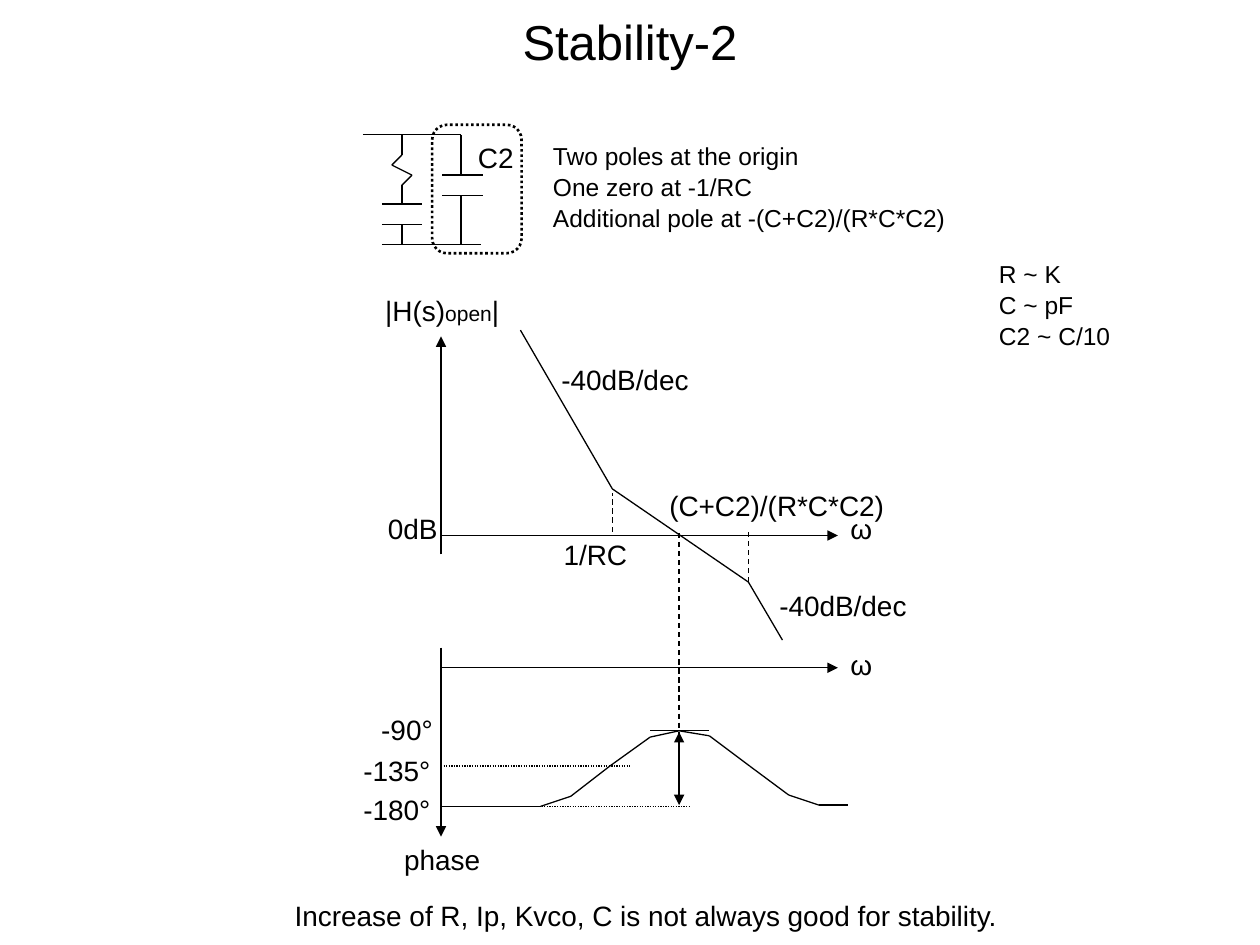
from itertools import pairwise

from lxml import etree
from pptx import Presentation
from pptx.dml.color import RGBColor
from pptx.enum.dml import MSO_LINE
from pptx.enum.shapes import MSO_CONNECTOR, MSO_SHAPE
from pptx.enum.text import MSO_AUTO_SIZE, PP_ALIGN
from pptx.oxml.ns import qn
from pptx.util import Inches, Pt

STRAIGHT = MSO_CONNECTOR.STRAIGHT
ROUNDED = MSO_SHAPE.ROUNDED_RECTANGLE
DASH, DOT = MSO_LINE.DASH, MSO_LINE.ROUND_DOT
LEFT, CENTER = PP_ALIGN.LEFT, PP_ALIGN.CENTER
FIT = MSO_AUTO_SIZE.SHAPE_TO_FIT_TEXT
BLACK = "000000"


def color(hex_code):
    return RGBColor.from_string(hex_code)


class Sketch:
    """Draws line art and labels on one slide in a single style."""

    def __init__(self, slide, font="Arial", ink=BLACK):
        self.shapes = slide.shapes
        self.font = font
        self.ink = color(ink)

    def stroke(self, line, width, dash):
        line.color.rgb = self.ink
        line.width = Pt(width)
        if dash:
            line.dash_style = dash

    def path_line(self, *points, dash=None, arrows=()):
        for start, end in pairwise(points):
            segment = self.shapes.add_connector(
                STRAIGHT, *(Inches(v) for v in (*start, *end)))
            self.stroke(segment.line, 0.75, dash)
            properties = segment._element.spPr
            outline = properties.find(qn("a:ln"))
            for arrow in arrows:
                etree.SubElement(outline, qn(f"a:{arrow}"), type="triangle")
            etree.SubElement(properties, qn("a:effectLst"))

    def frame(self, left, top, width, height):
        box = self.shapes.add_shape(
            ROUNDED, *(Inches(v) for v in (left, top, width, height)))
        box.adjustments[0] = 0.167
        box.shadow.inherit = False
        box.fill.background()
        self.stroke(box.line, 1.5, DOT)

    def text(self, text, left, top, width, height=0.37, size=16, align=CENTER):
        box = self.shapes.add_textbox(
            *(Inches(v) for v in (left, top, width, height)))
        body = box.text_frame
        body.word_wrap = True
        body.auto_size = FIT
        for index, content in enumerate(text.split("\n")):
            paragraph = body.paragraphs[0] if index == 0 else body.add_paragraph()
            paragraph.alignment = align
            paragraph.space_before = Pt(0.8 if index else 0)
            for position, part in enumerate(content.split("_")):
                run = paragraph.add_run()
                run.text = part
                run.font.name = self.font
                run.font.size = Pt(12 if position == 1 else size)
                run.font.color.rgb = self.ink


def draw_filter(sketch):
    resistor_x, c2_x, top, bottom = 3.19, 3.66, 1.07, 1.94
    sketch.path_line((resistor_x, top), (resistor_x, 1.23), (3.11, 1.31),
                     (3.27, 1.39), (resistor_x, 1.47), (resistor_x, 1.62))
    sketch.path_line((resistor_x, 1.78), (resistor_x, bottom))
    sketch.path_line((2.88, top), (c2_x, top), (c2_x, 1.39))
    sketch.path_line((c2_x, 1.55), (c2_x, bottom))
    sketch.path_line((3.03, bottom), (3.82, bottom))
    for plate_left, upper_plate in ((3.03, 1.62), (3.51, 1.39)):
        for y in (upper_plate, upper_plate + 0.16):
            sketch.path_line((plate_left, y), (plate_left + 0.32, y))
    sketch.frame(3.43, 0.99, 0.71, 1.02)
    sketch.text("C2", 3.66, 1.07, 0.55)


def draw_axes(sketch):
    origin_x, axis_end = 3.5, 6.65
    for zero_y, start_y, tip_y in ((4.25, 4.4, 2.67), (5.3, 5.14, 6.64)):
        sketch.path_line((origin_x, zero_y), (axis_end, zero_y),
                         arrows=["tailEnd"])
        sketch.path_line((origin_x, start_y), (origin_x, tip_y),
                         arrows=["tailEnd"])
    for omega_y in (4.01, 5.09):
        sketch.text("ω", axis_end, omega_y, 0.39, align=LEFT)


def draw_magnitude(sketch):
    zero, pole = (4.86, 3.88), (5.94, 4.62)
    sketch.path_line((4.13, 2.62), zero, pole, (6.21, 5.08))
    sketch.path_line((4.86, 4.22), (4.86, 3.91), dash=DASH)
    sketch.path_line(pole, (5.94, 4.22), dash=DASH)
    sketch.text("|H(s)_open_|", 2.88, 2.28, 1.26)
    sketch.text("0dB", 2.88, 4.01, 0.79)
    sketch.text("1/RC", 4.29, 4.22, 0.87)
    sketch.text("(C+C2)/(R*C*C2)", 5.2, 3.83, 1.93)
    for slope_left, slope_top in ((4.29, 2.83), (6.02, 4.62)):
        sketch.text("-40dB/dec", slope_left, slope_top, 1.34)


def draw_phase(sketch):
    peak_x, peak_y = 5.39, 5.8
    sketch.path_line((3.5, 6.4), (4.29, 6.4), (4.53, 6.32), (4.84, 6.08),
                     (5.16, 5.85), (peak_x, peak_y), (5.63, 5.84),
                     (5.95, 6.08), (6.26, 6.31), (6.5, 6.39), (6.73, 6.39))
    sketch.path_line((5.16, peak_y), (5.63, peak_y))
    sketch.path_line((3.5, 6.08), (5, 6.08), dash=DOT)
    sketch.path_line((3.5, 6.4), (5.47, 6.4), dash=DOT)
    sketch.path_line((peak_x, 4.23), (peak_x, 5.97), dash=DASH)
    sketch.path_line((peak_x, 5.81), (peak_x, 6.39),
                     arrows=["headEnd", "tailEnd"])
    for angle, left, top in (("-90°", 2.64, 5.61), ("-135°", 2.56, 5.93),
                             ("-180°", 2.56, 6.24)):
        sketch.text(angle, left, top, 1.18)
    sketch.text("phase", 2.88, 6.64, 1.26)


def main():
    deck = Presentation()
    deck.slide_width, deck.slide_height = Inches(10), Inches(7.5)
    sketch = Sketch(deck.slides.add_slide(deck.slide_layouts[6]))
    sketch.text("Stability-2", 0, 0.04, 10, 0.57, size=28)
    draw_filter(sketch)
    sketch.text("Two poles at the origin\nOne zero at -1/RC\n"
                "Additional pole at -(C+C2)/(R*C*C2)",
                4.29, 1.07, 3.42, 0.8, size=14, align=LEFT)
    sketch.text("R ~ K\nC ~ pF\nC2 ~ C/10",
                7.83, 2.01, 1.81, 0.8, size=14, align=LEFT)
    draw_axes(sketch)
    draw_magnitude(sketch)
    draw_phase(sketch)
    sketch.text("Increase of R, Ip, Kvco, C is not always good for stability.",
                2.24, 7.08, 5.91, align=LEFT)
    deck.save("out.pptx")


if __name__ == "__main__":
    main()
